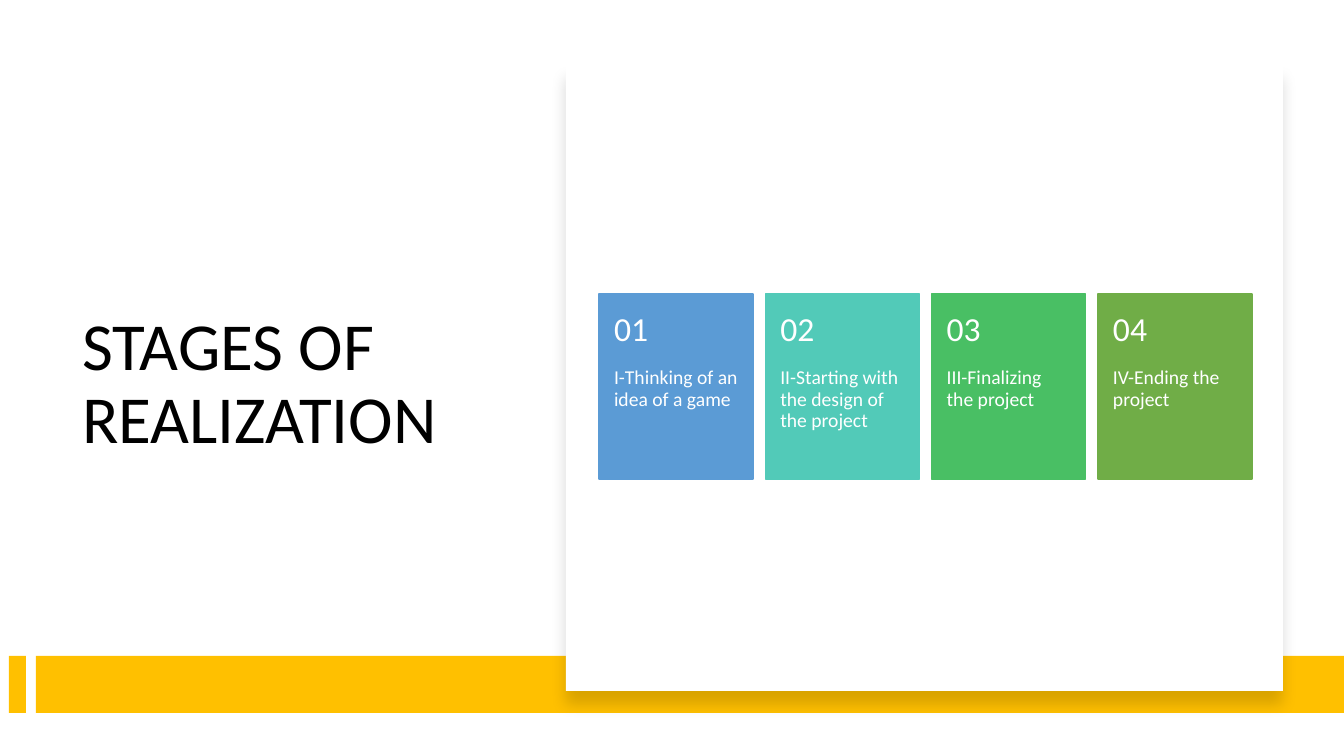
import pptx
import pptx.util
import pptx.dml.color
import pptx.enum.shapes
import pptx.enum.text
import pptx.oxml
import pptx.oxml.ns

PX = 914400 / 100.8
FONT = "Calibri"
COLORS = {
    "text": "000000",
    "white": "FFFFFF",
    "band": "FFC000",
    "blue": "5B9BD5",
    "teal": "52CAB8",
    "green": "49BF64",
    "olive": "70AD47",
}
STAGES = [
    ("01", "I-Thinking of an idea of a game", "blue"),
    ("02", "II-Starting with the design of the project", "teal"),
    ("03", "III-Finalizing the project", "green"),
    ("04", "IV-Ending the project", "olive"),
]
ANCHOR = pptx.enum.text.MSO_ANCHOR


def px(n):
    return pptx.util.Emu(round(n * PX))


def rgb(name):
    return pptx.dml.color.RGBColor.from_string(COLORS[name])


def add_rect(slide, box, color, line=False):
    sp = slide.shapes.add_shape(
        pptx.enum.shapes.MSO_SHAPE.RECTANGLE, *map(px, box))
    sp.shadow.inherit = False
    sp.fill.solid()
    sp.fill.fore_color.rgb = rgb(color)
    if line:
        sp.line.color.rgb = rgb(color)
        sp.line.width = pptx.util.Pt(1)
    else:
        sp.line.fill.background()
    return sp


def write(sp, text, size, color, **frame):
    """Fill a shape with one left-aligned paragraph; frame holds text frame settings."""
    tf = sp.text_frame
    settings = {"word_wrap": True,
                "auto_size": pptx.enum.text.MSO_AUTO_SIZE.NONE, **frame}
    for name, value in settings.items():
        setattr(tf, name, value)
    p = tf.paragraphs[0]
    p.alignment = pptx.enum.text.PP_ALIGN.LEFT
    p.line_spacing = 0.9
    r = p.add_run()
    r.text = text
    for name, value in {"name": FONT, "size": pptx.util.Pt(size)}.items():
        setattr(r.font, name, value)
    r.font.color.rgb = rgb(color)


def place_title(slide, box):
    title = slide.shapes.title
    for name, value in zip(("left", "top", "width", "height"), box):
        setattr(title, name, px(value))
    write(title, "STAGES OF REALIZATION", 48, "text",
          vertical_anchor=ANCHOR.MIDDLE)


def add_band(slide, box):
    """A short block, a gap and a long bar that runs to the end of the box."""
    x, y, w, h = box
    block, gap = 17, 10
    add_rect(slide, (x, y, block, h), "band")
    add_rect(slide, (x + block + gap, y, w - block - gap, h), "band")


def add_panel(slide, box):
    sp = add_rect(slide, box, "white")
    effects = sp._element.spPr.find(pptx.oxml.ns.qn("a:effectLst"))
    effects.append(pptx.oxml.parse_xml(
        f'<a:outerShdw {pptx.oxml.ns.nsdecls("a")} blurRad="{pptx.util.Pt(11)}" '
        f'dist="{pptx.util.Pt(10)}" dir="5400000" algn="t" rotWithShape="0">'
        f'<a:srgbClr val="{COLORS["text"]}"><a:alpha val="15000"/></a:srgbClr>'
        '</a:outerShdw>'))


def add_card(slide, box, number, text, color):
    x, y, w, h = box
    head = 74
    add_rect(slide, box, color, line=True)
    parts = [
        (text, 14, y + head, h - head, ANCHOR.TOP, 0, 36),
        (number, 24, y, head, ANCHOR.MIDDLE, 18, 18),
    ]
    for words, size, top, height, anchor, above, below in parts:
        tb = slide.shapes.add_textbox(*map(px, (x, top, w, height)))
        write(tb, words, size, "white", vertical_anchor=anchor,
              margin_left=px(15), margin_right=px(15),
              margin_top=px(above), margin_bottom=px(below))


def add_cards(slide, box):
    x, y, w, h = box
    card = 154
    pitch = (w - card) / (len(STAGES) - 1)
    for i, stage in enumerate(STAGES):
        add_card(slide, (x + i * pitch, y, card, h), *stage)


def main():
    prs = pptx.Presentation()
    prs.slide_width, prs.slide_height = px(1344), px(756)
    slide = prs.slides.add_slide(prs.slide_layouts.get_by_name("Title Only"))
    place_title(slide, (72, 121, 418, 529))
    add_band(slide, (9, 656, 1335, 57))
    add_panel(slide, (566, 65, 717, 626))
    add_cards(slide, (599, 294, 653, 185))
    prs.save("out.pptx")


if __name__ == "__main__":
    main()
